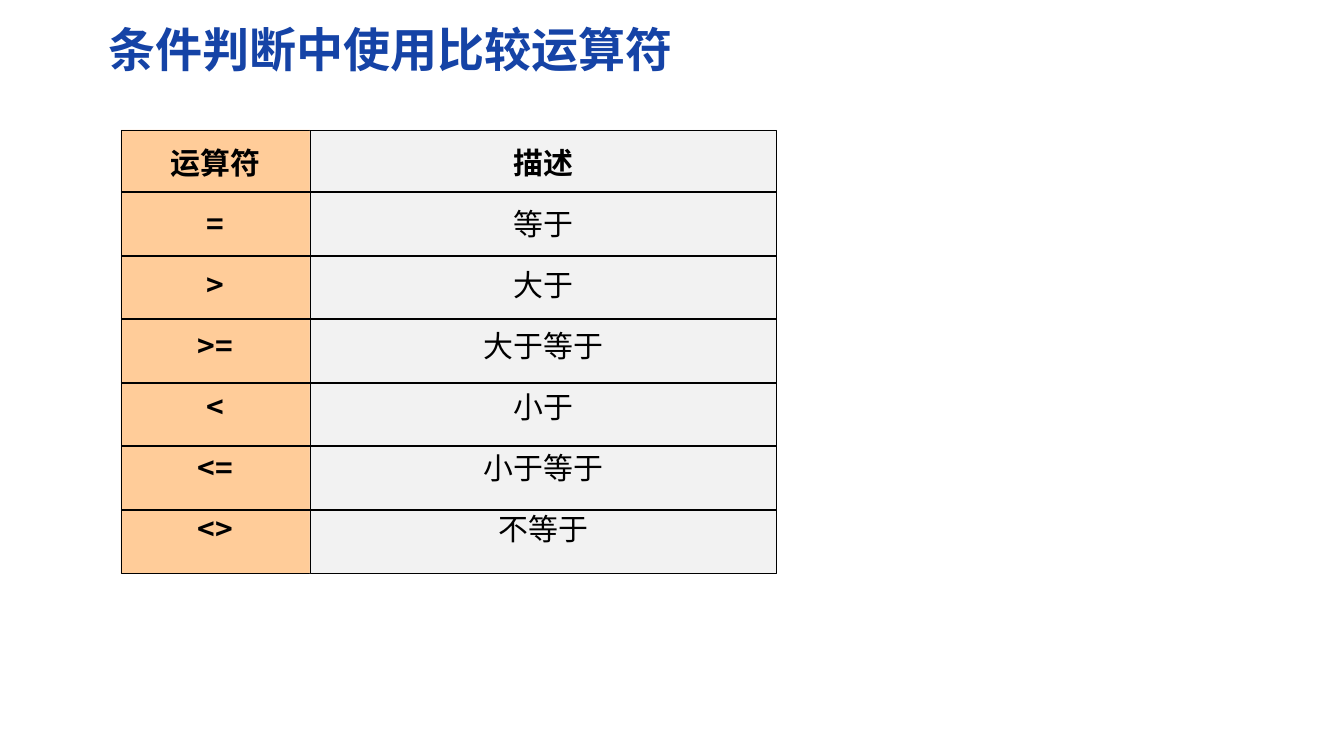
from dataclasses import dataclass

from lxml import etree
from pptx import Presentation
from pptx import util as u
from pptx.dml.color import RGBColor
from pptx.enum import shapes, text
from pptx.oxml.ns import qn

SCALE = 914400 / 121
FONT = "Noto Sans CJK SC"
COLORS = {"title": "1543A6", "ink": "000000", "operator": "FFCC99", "description": "F2F2F2"}

TABLE_LEFT, TABLE_TOP, TABLE_HEIGHT = 121, 130, 444
FIRST_RULE, RULE_PITCH = 192, 63.6


@dataclass
class Column:
    width: int
    fill: str
    heading: str
    entries: list[str]
    bold_entries: bool


COLUMNS = [
    Column(189, "operator", "运算符", ["=", ">", ">=", "<", "<=", "<>"], True),
    Column(467, "description", "描述", ["等于", "大于", "大于等于", "小于", "小于等于", "不等于"], False),
]


def px(n: float) -> u.Emu:
    return u.Emu(round(n * SCALE))


def rgb(name: str) -> RGBColor:
    return RGBColor.from_string(COLORS[name])


def set_frame(tf, anchor) -> None:
    tf.word_wrap = True
    tf.vertical_anchor = anchor
    tf.margin_left = tf.margin_right = px(13)
    tf.margin_top = tf.margin_bottom = px(7)


def write(p, words: str, *, size: float, color: str = "ink", bold: bool = False,
          align=text.PP_ALIGN.LEFT, spacing: float = 1.0, before: float = 0) -> None:
    p.alignment = align
    p.line_spacing = spacing
    p.space_before = u.Pt(before)
    r = p.add_run()
    r.text = words
    r.font.name = FONT
    r.font.size = u.Pt(size)
    r.font.bold = bold
    r.font.color.rgb = rgb(color)
    etree.SubElement(r.font._element, qn("a:ea"), typeface=FONT)


def add_title(s, words: str) -> None:
    sp = s.shapes.add_textbox(px(96), px(14), px(1187), px(69))
    set_frame(sp.text_frame, text.MSO_ANCHOR.MIDDLE)
    write(sp.text_frame.paragraphs[0], words, size=28, color="title", bold=True)


def add_column(s, column: Column, left: int) -> None:
    sp = s.shapes.add_shape(shapes.MSO_SHAPE.RECTANGLE, px(left), px(TABLE_TOP),
                            px(column.width), px(TABLE_HEIGHT))
    sp.shadow.inherit = False
    sp.fill.solid()
    sp.fill.fore_color.rgb = rgb(column.fill)
    sp.line.color.rgb = rgb("ink")
    sp.line.width = u.Pt(0.5)
    tf = sp.text_frame
    set_frame(tf, text.MSO_ANCHOR.TOP)
    for i, words in enumerate([column.heading, *column.entries]):
        p = tf.add_paragraph() if i else tf.paragraphs[0]
        write(p, words, size=17.8, bold=i == 0 or column.bold_entries,
              align=text.PP_ALIGN.CENTER, spacing=1.2, before=10.7 if i else 0)


def add_rule(s, y: int, right: int, width: float) -> None:
    line = s.shapes.add_connector(shapes.MSO_CONNECTOR.STRAIGHT,
                                  px(TABLE_LEFT), px(y), px(right), px(y))
    line.line.color.rgb = rgb("ink")
    line.line.width = u.Pt(width)
    etree.SubElement(line._element.spPr, qn("a:effectLst"))


def main() -> None:
    prs = Presentation()
    prs.slide_width, prs.slide_height = px(1344), px(756)
    s = prs.slides.add_slide(prs.slide_layouts[6])
    add_title(s, "条件判断中使用比较运算符")
    x = TABLE_LEFT
    for column in COLUMNS:
        add_column(s, column, x)
        x += column.width
    for i in range(len(COLUMNS[0].entries)):
        add_rule(s, FIRST_RULE + round(i * RULE_PITCH), x, 1.25 if i else 0.75)
    prs.save("out.pptx")


if __name__ == "__main__":
    main()
